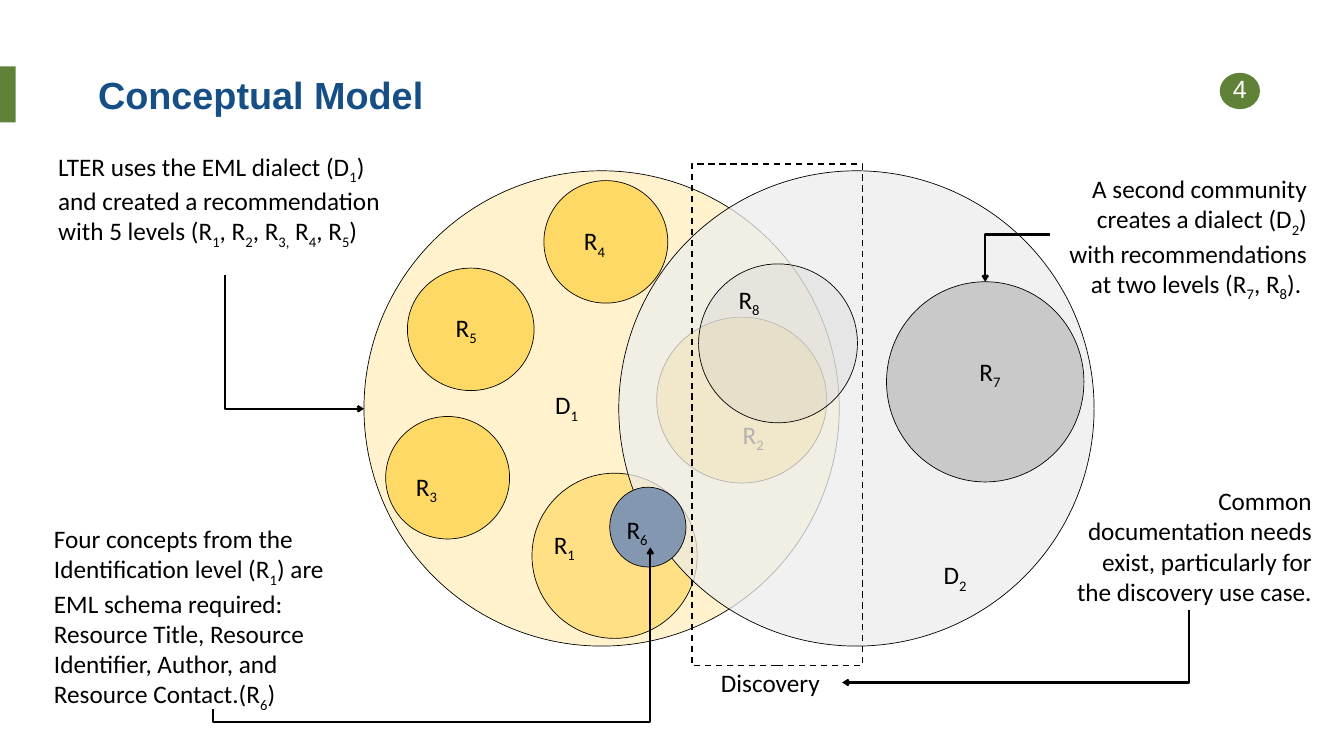
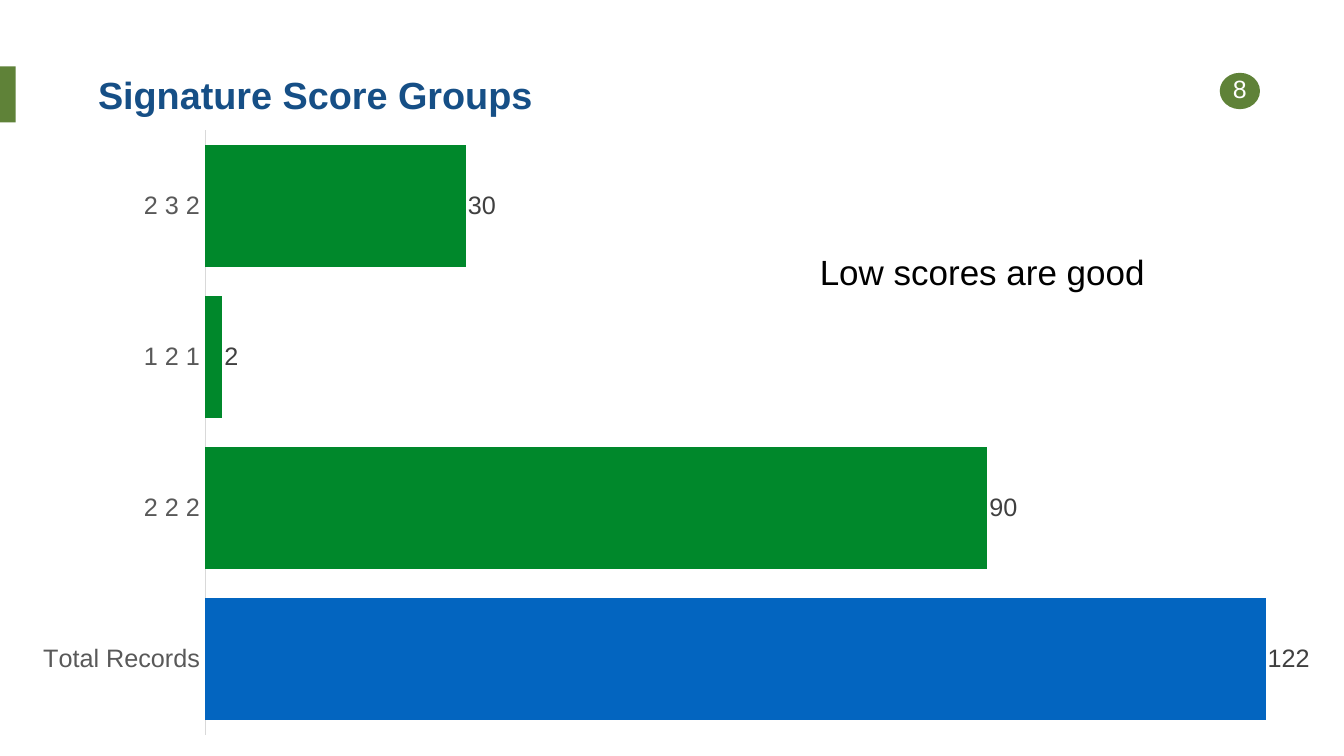
from lxml import etree
from pptx import Presentation
from pptx.chart.data import CategoryChartData
from pptx.dml.color import RGBColor
from pptx.enum.chart import XL_CHART_TYPE, XL_LABEL_POSITION, XL_TICK_LABEL_POSITION, XL_TICK_MARK
from pptx.enum.dml import MSO_LINE
from pptx.enum.shapes import MSO_CONNECTOR, MSO_SHAPE
from pptx.enum.text import MSO_ANCHOR, MSO_AUTO_SIZE, PP_ALIGN
from pptx.oxml import parse_xml
from pptx.oxml.ns import nsdecls, qn
from pptx.util import Pt

OVAL, RECT = MSO_SHAPE.OVAL, MSO_SHAPE.RECTANGLE
ELBOW, DASH = MSO_CONNECTOR.ELBOW, MSO_LINE.DASH
LEFT, MID, RIGHT = PP_ALIGN.LEFT, PP_ALIGN.CENTER, PP_ALIGN.RIGHT
CENTRE, GROW = MSO_ANCHOR.MIDDLE, MSO_AUTO_SIZE.SHAPE_TO_FIT_TEXT
BARS, NONE = XL_CHART_TYPE.BAR_CLUSTERED, XL_TICK_MARK.NONE
OUT, LOW = XL_LABEL_POSITION.OUTSIDE_END, XL_TICK_LABEL_POSITION.LOW

SANS, BODY = "Arial", "Calibri"
BLACK, WHITE, OLIVE, NAVY = "000000", "FFFFFF", "5F8238", "164F86"
CREAM, GOLD, PALE, GREY, STEEL = "FFF2CC", "FFD966", "EDEDED", "C9C9C9", "8497B0"
GREEN, BLUE = "00882B", "0365C0"

DISCS = [
    ("D|1", (520, 244, 679, 679), CREAM, 100, (786, 553, 49)),
    ("R|5", (582, 383, 181, 175), GOLD, 100, (644, 442, 47)),
    ("R|1", (760, 676, 236, 236), GOLD, 69, (784, 752, 107)),
    ("R|2", (938, 453, 243, 237), GOLD, 100, (1054, 595, 47)),
    ("R|4", (777, 258, 177, 175), GOLD, 100, (827, 319, 73)),
    ("R|3", (551, 595, 177, 175), GOLD, 100, (587, 670, 83)),
    ("D|2", (884, 244, 679, 679), PALE, 75, (1341, 796, 49)),
    ("R|7", (1266.5, 402.5, 282, 286), GREY, 100, (1392, 505, 47)),
    ("R|8", (998, 377, 227, 227), GREY, 25, (1048, 402, 47)),
    ("R|6", (871, 696, 109, 114), STEEL, 100, (888, 731, 81)),
]
NOTES = [
    ("Discovery", (998, 950, 205, 51), MID),
    ("LTER uses the EML dialect (D|1|) and created a recommendation "
     "with 5 levels (R|1|, R|2|, R|3,| R|4|, R|5|)", (76, 212, 492, 138), LEFT),
    ("A second community creates a dialect (D|2|) with recommendations "
     "at two levels (R|7|, R|8|). ", (1500, 244, 374, 181), RIGHT),
    ("Four concepts from the Identification level (R|1|) are EML schema required: "
     "Resource Title, Resource Identifier, Author, and Resource Contact.(R|6|)",
     (70, 744, 469, 269), LEFT),
    ("Common documentation needs exist, particularly for the discovery use case.",
     (1517, 690, 364, 181), RIGHT),
]
ARROWS = [
    ((322, 393), (520, 584), 270, "H", None),
    ((304.5, 1013), (929, 782), 90, "HV", -7800),
    ((1500, 335), (1407.5, 402.5), 180, "V", None),
    ((1698.5, 872), (1203, 975), 90, "", None),
]
SCORES = {"Total Records": 122, "2 2 2": 90, "1 2 1": 2, "2 3 2": 30}


def pts(*vals):
    return [Pt(val) for val in vals]


def rgb(code):
    return RGBColor.from_string(code)


def style(font, size, color, face=SANS, bold=None):
    font.size, font.name, font.bold = Pt(size), face, bold
    font.color.rgb = rgb(color)


def write(slide, text, box, size=36, color=BLACK, face=BODY, align=LEFT,
          bold=None, wrap=True, grow=True):
    shape = slide.shapes.add_textbox(*pts(*box))
    frame = shape.text_frame
    frame.word_wrap = wrap
    if grow:
        frame.auto_size = GROW
    para = frame.paragraphs[0]
    para.alignment = align
    for num, part in enumerate(text.split("|")):
        run = para.add_run()
        run.text = part
        style(run.font, size, color, face, bold)
        if num % 2:
            run.font._element.set("baseline", "-25000")
    return shape


def draw(slide, kind, box, fill=None, alpha=100, width=0):
    shape = slide.shapes.add_shape(kind, *pts(*box))
    shape.shadow.inherit = False
    if fill:
        shape.fill.solid()
        shape.fill.fore_color.rgb = rgb(fill)
    else:
        shape.fill.background()
    if alpha < 100:
        tint = shape._element.spPr.find(".//" + qn("a:srgbClr"))
        etree.SubElement(tint, qn("a:alpha")).set("val", str(alpha * 1000))
    if width:
        shape.line.color.rgb = rgb(BLACK)
        shape.line.width = Pt(width)
    else:
        shape.line.fill.background()
    return shape


def bend(slide, start, end, turn, flip, adj):
    (ax, ay), (bx, by) = start, end
    wide, high = abs(bx - ax), abs(by - ay)
    if turn % 180:
        wide, high = high, wide
    left, top = (ax + bx - wide) / 2, (ay + by - high) / 2
    link = slide.shapes.add_connector(ELBOW, *pts(left, top, left + wide, top + high))
    link.line.color.rgb = rgb(BLACK)
    link.line.width = Pt(3)
    props = link._element.spPr
    frame = props.find(qn("a:xfrm"))
    frame.set("rot", str(turn * 60000))
    for axis in flip:
        frame.set("flip" + axis, "1")
    geom = props.find(qn("a:prstGeom"))
    if adj is None:
        geom.set("prst", "bentConnector2")
    else:
        guide = etree.SubElement(geom.find(qn("a:avLst")), qn("a:gd"))
        guide.set("name", "adj1")
        guide.set("fmla", f"val {adj}")
    etree.SubElement(props.find(qn("a:ln")), qn("a:tailEnd")).set("type", "arrow")
    etree.SubElement(props, qn("a:effectLst"))


def start_slide(deck, title, num):
    slide = deck.slides.add_slide(deck.slide_layouts[6])
    slide.background.fill.solid()
    slide.background.fill.fore_color.rgb = rgb(WHITE)
    badge = draw(slide, OVAL, (1742.5, 104, 57.5, 52), OLIVE)
    frame = badge.text_frame
    frame.margin_left = frame.margin_right = frame.margin_top = frame.margin_bottom = 0
    frame.word_wrap = False
    frame.vertical_anchor = CENTRE
    frame.text = str(num)
    para = frame.paragraphs[0]
    para.alignment, para.line_spacing = MID, 0.8
    style(para.runs[0].font, 35.7, WHITE)
    draw(slide, RECT, (0, 95, 22.5, 80), OLIVE)
    head = write(slide, title, (133, 95, 1343, 80), 54, NAVY, SANS, bold=True, grow=False)
    head.text_frame.vertical_anchor = CENTRE
    return slide


def add_bars(slide, box):
    data = CategoryChartData()
    data.categories = list(SCORES)
    data.add_series("Series 1", list(SCORES.values()))
    chart = slide.shapes.add_chart(BARS, *pts(*box), data).chart
    chart.has_legend = chart.has_title = False
    style(chart.font, 36, BLACK)
    plot = chart.plots[0]
    plot.gap_width, plot.overlap, plot.vary_by_categories = 24, -27, False
    bars = plot.series[0]
    bars.invert_if_negative = False
    for fill, color in ((bars.format.fill, GREEN), (bars.points[0].format.fill, BLUE)):
        fill.solid()
        fill.fore_color.rgb = rgb(color)
    tags = bars.data_labels
    tags.show_value, tags.position = True, OUT
    style(tags.font, 36, "404040")
    cats, vals = chart.category_axis, chart.value_axis
    cats.major_tick_mark = cats.minor_tick_mark = NONE
    cats.tick_label_position = LOW
    cats.has_major_gridlines = vals.has_major_gridlines = False
    style(cats.tick_labels.font, 36, "595959")
    cats.format.line.color.rgb = rgb("D9D9D9")
    cats.format.line.width = Pt(0.75)
    vals.minimum_scale, vals.maximum_scale = 0, 140
    vals.visible = False
    place(chart, x=0.13, y=0, w=0.86, h=0.98)


def place(chart, **sides):
    area = chart._chartSpace.chart.plotArea
    for old in area.findall(qn("c:layout")):
        area.remove(old)
    rules = '<c:layoutTarget val="inner"/><c:xMode val="edge"/><c:yMode val="edge"/>'
    rules += "".join(f'<c:{side} val="{val}"/>' for side, val in sides.items())
    area.insert(0, parse_xml(
        f'<c:layout {nsdecls("c")}><c:manualLayout>{rules}</c:manualLayout></c:layout>'))


def add_model(deck):
    slide = start_slide(deck, "Conceptual Model", 4)
    for name, box, fill, alpha, (left, top, wide) in DISCS:
        draw(slide, OVAL, box, fill, alpha, 1)
        write(slide, name, (left, top, wide, 51), wrap=wide > 50)
    zone = draw(slide, RECT, (988.5, 234, 243.5, 717), width=2.25)
    zone.line.dash_style = DASH
    for text, box, align in NOTES:
        write(slide, text, box, align=align)
    for arrow in ARROWS:
        bend(slide, *arrow)


def add_scores(deck):
    slide = start_slide(deck, "Signature Score Groups", 8)
    add_bars(slide, (30, 186, 2022, 881))
    write(slide, "Low scores are good", (1164, 354, 564, 68), 50, face=SANS)


def main():
    deck = Presentation()
    deck.slide_width, deck.slide_height = pts(1920, 1080)
    add_model(deck)
    add_scores(deck)
    deck.save("out.pptx")


if __name__ == "__main__":
    main()
